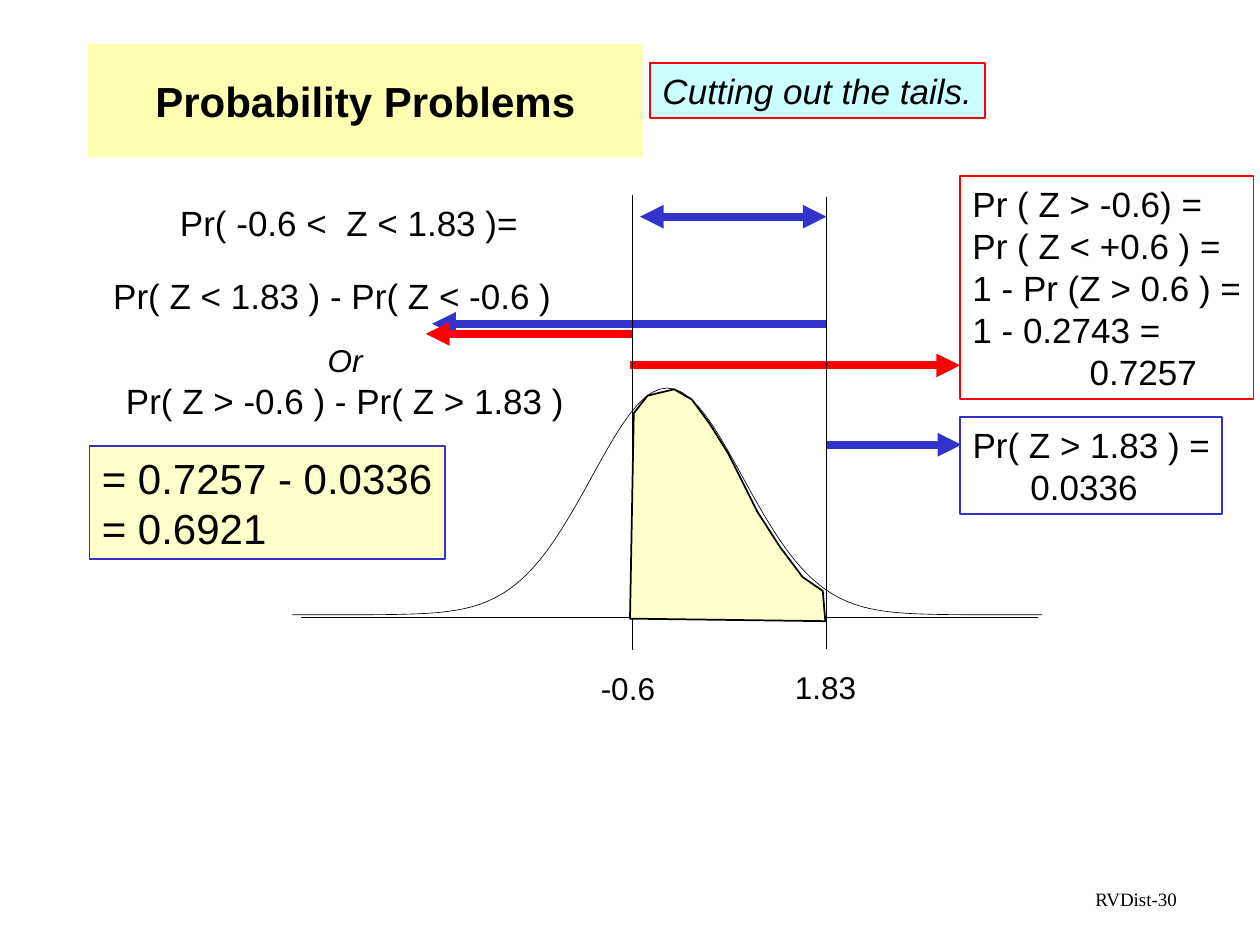
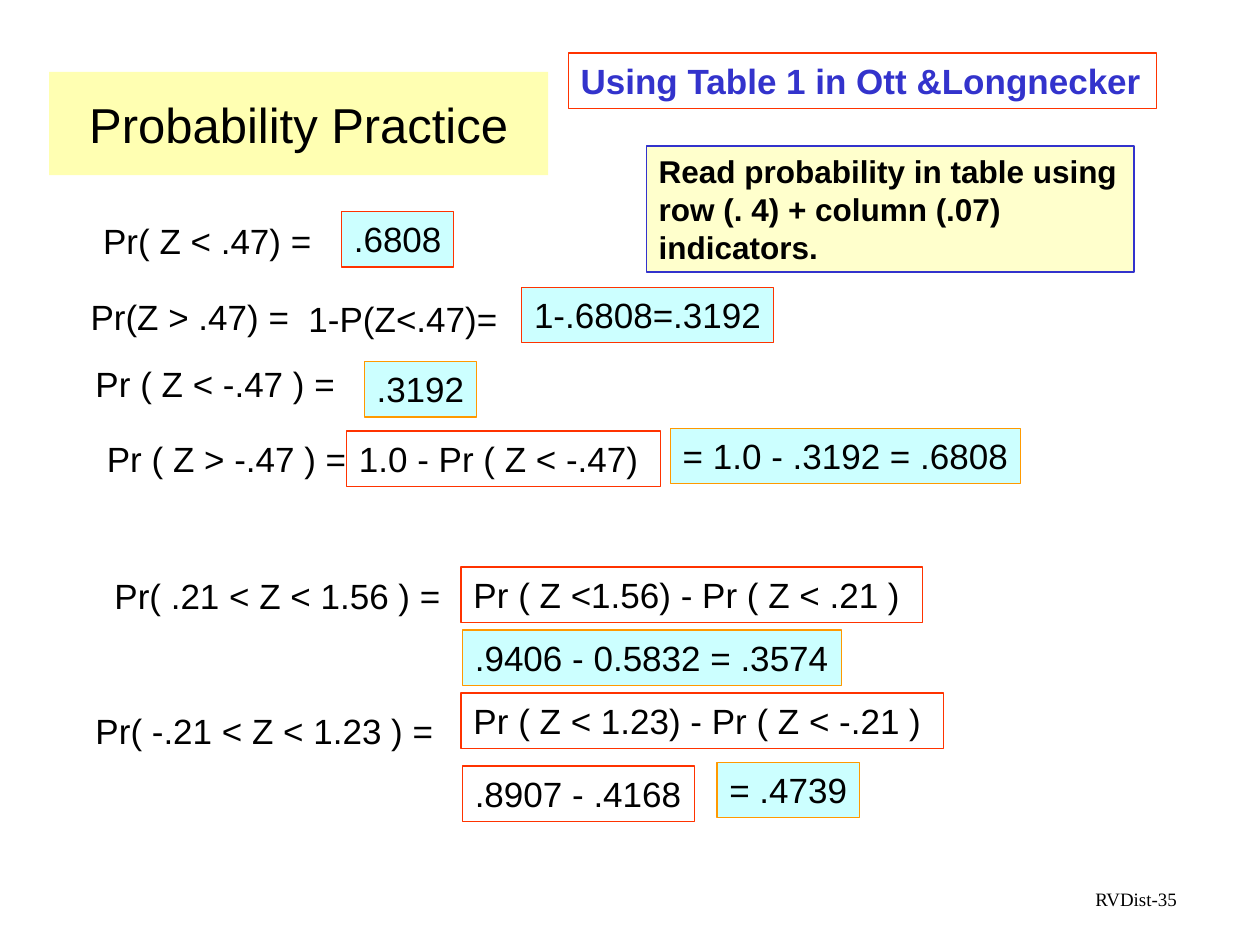
from math import exp

from lxml.etree import SubElement
from pptx import Presentation
from pptx.dml.color import RGBColor
from pptx.enum.shapes import MSO_CONNECTOR, MSO_SHAPE
from pptx.enum.text import MSO_ANCHOR, MSO_AUTO_SIZE, PP_ALIGN
from pptx.oxml.ns import qn
from pptx.util import Inches, Pt

BLACK, BLUE, RED = "000000", "3333CC", "FF0000"
VERMILION, ORANGE = "FF3300", "FF9900"
CYAN, CREAM, YELLOW = "CCFFFF", "FFFFCC", "FFFF66"


def rgb(value):
    """Turn a hex string into a colour."""
    return RGBColor.from_string(value)


def inches(*lengths):
    """Convert several lengths in inches."""
    return [Inches(length) for length in lengths]


class Deck:
    """Hold the shared style and the current slide."""

    font = "Arial"

    def __init__(self):
        """Start an empty presentation."""
        self.presentation = Presentation()
        self.presentation.slide_width, self.presentation.slide_height = inches(10, 7.5)
        self.slide = None

    def new_slide(self, title, place, size, number, bold=False):
        """Add a slide with its title band and page label."""
        layout = self.presentation.slide_layouts[5]
        self.slide = self.presentation.slides.add_slide(layout)
        band = self.slide.shapes.title
        band.left, band.top, band.width, band.height = inches(*place)
        band.fill.solid()
        band.fill.fore_color.rgb = rgb(YELLOW)
        color = band._element.spPr.find(qn("a:solidFill"))[0]
        SubElement(color, qn("a:alpha")).set("val", "50000")
        self.set_text(band, [title], size, bold=bold, align=PP_ALIGN.CENTER)
        band.text_frame.vertical_anchor = MSO_ANCHOR.MIDDLE
        label = self.text(f"RVDist-{number}", 7.17, 7.03, 2.17, 0.3, size=10.8,
                          font="Times New Roman", align=PP_ALIGN.RIGHT)
        label.text_frame.paragraphs[0].line_spacing = 0.8

    def set_text(self, shape, lines, size, color=BLACK, bold=False, italic=False,
                 align=PP_ALIGN.LEFT, font=None):
        """Fill a shape with formatted paragraphs."""
        frame = shape.text_frame
        frame.text = "\n".join(lines)
        frame.word_wrap = True
        frame.auto_size = MSO_AUTO_SIZE.NONE
        for paragraph in frame.paragraphs:
            paragraph.alignment = align
            for run in paragraph.runs:
                run.font.name = font or self.font
                run.font.size = Pt(size)
                run.font.bold = bold
                run.font.italic = italic
                run.font.color.rgb = rgb(color)

    def text(self, content, left, top, width, height=0.44, size=20, **style):
        """Add plain text."""
        shape = self.slide.shapes.add_textbox(*inches(left, top, width, height))
        shape.text_frame.margin_right = 0
        self.set_text(shape, content.split("\n"), size, **style)
        return shape

    def box(self, content, left, top, width, height=0.44, fill=None,
            line=VERMILION, weight=0.75, size=20, **style):
        """Add a bordered text box."""
        shape = self.slide.shapes.add_shape(
            MSO_SHAPE.RECTANGLE, *inches(left, top, width, height))
        self.paint(shape, fill, line, weight)
        shape.text_frame.margin_right = 0
        shape.text_frame.vertical_anchor = MSO_ANCHOR.TOP
        self.set_text(shape, content.split("\n"), size, **style)
        return shape

    def paint(self, shape, fill, line, weight):
        """Set fill and outline and drop the shadow."""
        shape.shadow.inherit = False
        if fill:
            shape.fill.solid()
            shape.fill.fore_color.rgb = rgb(fill)
        else:
            shape.fill.background()
        shape.line.color.rgb = rgb(line)
        shape.line.width = Pt(weight)

    def line(self, start, end, color=BLACK, weight=1, arrows=()):
        """Add a straight line with optional arrowheads."""
        connector = self.slide.shapes.add_connector(
            MSO_CONNECTOR.STRAIGHT, *inches(*start, *end))
        connector.line.color.rgb = rgb(color)
        connector.line.width = Pt(weight)
        outline = connector._element.spPr.find(qn("a:ln"))
        for arrow in arrows:
            SubElement(outline, qn(f"a:{arrow}")).set("type", "triangle")
        SubElement(connector._element.spPr, qn("a:effectLst"))

    def arrow(self, start, end, top, color, arrows=("tailEnd",)):
        """Add a thick horizontal arrow."""
        self.line((start, top), (end, top), color, 4.5, arrows)

    def outline(self, points, fill=None, weight=1.0, close=False):
        """Draw a freeform through the points."""
        points = [inches(*point) for point in points]
        builder = self.slide.shapes.build_freeform(*points[0])
        builder.add_line_segments(points[1:], close=close)
        self.paint(builder.convert_to_shape(), fill, BLACK, weight)

    def indent_last(self, shape, indent):
        """Indent the last paragraph of a shape."""
        properties = shape.text_frame.paragraphs[-1]._p.get_or_add_pPr()
        properties.set("marL", str(Inches(indent)))


def bell_curve(left=2.32, width=5.95, base=4.88, height=1.8, sigma=0.6, steps=100):
    """Return the points of a normal density curve."""
    middle = left + width / 2
    xs = [left + width * step / steps for step in range(steps + 1)]
    return [(x, base - height * exp(-((x - middle) / sigma) ** 2 / 2)) for x in xs]


def add_problems(deck):
    """Build the slide on cutting out the tails."""
    lower, upper = 5.02, 6.56
    deck.new_slide("Probability Problems", (0.7, 0.35, 4.4, 0.9), 24, 30, bold=True)
    deck.outline(bell_curve(), weight=0.37)
    deck.line((2.39, 4.9), (8.24, 4.9))
    deck.text("Pr( -0.6 <  Z < 1.83 )=", 1.33, 1.55, 2.88)
    deck.box("Cutting out the tails.", 5.16, 0.5, 2.66, fill=CYAN, line=RED,
             weight=1, italic=True)
    deck.text("Pr( Z < 1.83 ) - Pr( Z < -0.6 )", 0.8, 2.13, 3.68)
    deck.arrow(upper, 3.43, 2.57, BLUE)
    deck.arrow(lower, 3.38, 2.65, RED)
    choice = deck.text("Or\nPr( Z > -0.6 ) - Pr( Z > 1.83 )", 0.85, 2.66, 3.68, 0.74,
                       align=PP_ALIGN.CENTER)
    word = choice.text_frame.paragraphs[0].runs[0]
    word.font.size, word.font.italic = Pt(18), True
    deck.arrow(5, 7.62, 2.9, RED)
    deck.arrow(upper, 7.63, 3.53, BLUE)

    lower_tail = deck.box(
        "Pr ( Z > -0.6) =\nPr ( Z < +0.6 ) =\n1 - Pr (Z > 0.6 ) =\n1 - 0.2743 =\n0.7257",
        7.62, 1.4, 2.33, 1.77, line=RED, weight=1)
    deck.indent_last(lower_tail, 0.93)
    upper_tail = deck.box("Pr( Z > 1.83 ) =\n0.0336", 7.62, 3.31, 2.08, 0.77,
                          line=BLUE, weight=1)
    deck.indent_last(upper_tail, 0.46)
    deck.box("= 0.7257 - 0.0336\n= 0.6921", 0.71, 3.54, 2.82, 0.9, fill=CREAM,
             line=BLUE, weight=1, size=24)

    deck.line((upper, 1.56), (upper, 5.15))
    deck.text("1.83", 6.21, 5.25, 0.68, 0.4, size=18)
    deck.line((lower, 1.55), (lower, 5.16))
    deck.text("-0.6", 4.67, 5.26, 0.63, 0.4, size=18)
    deck.arrow(5.08, upper, 1.72, BLUE, ("headEnd", "tailEnd"))
    shaded_area = [(5.03, 3.28), (5, 4.91), (6.55, 4.93), (6.53, 4.69), (6.37, 4.58),
                   (6.19, 4.34), (6.01, 4.06), (5.78, 3.6), (5.63, 3.36), (5.49, 3.17),
                   (5.35, 3.09), (5.14, 3.14)]
    deck.outline(shaded_area, fill=CREAM, close=True)


def add_practice(deck):
    """Build the slide of table look-up exercises."""
    deck.new_slide("Probability Practice", (0.39, 0.57, 3.96, 0.82), 28, 35)
    questions = [
        ("Pr( Z < .47) =", 0.72, 1.69, 1.85),
        ("Pr(Z > .47) =", 0.62, 2.3, 1.78),
        ("1-P(Z<.47)=", 2.35, 2.31, 1.7),
        ("Pr ( Z < -.47 ) =", 0.66, 2.83, 2.1),
        ("Pr ( Z > -.47 ) =", 0.75, 3.42, 2.1),
        ("Pr( .21 < Z < 1.56 ) =", 0.81, 4.51, 2.87),
        ("Pr( -.21 < Z < 1.23 ) =", 0.66, 5.58, 2.96),
    ]
    for question in questions:
        deck.text(*question)

    answers = [
        (".6808", 2.71, 1.68, 0.89, CYAN, VERMILION),
        ("1-.6808=.3192", 4.14, 2.28, 2, CYAN, VERMILION),
        (".3192", 2.89, 2.87, 0.89, CYAN, ORANGE),
        ("1.0 - Pr ( Z < -.47)", 2.75, 3.42, 2.49, None, VERMILION),
        ("= 1.0 - .3192 = .6808", 5.32, 3.4, 2.78, CYAN, ORANGE),
        ("Pr ( Z <1.56) - Pr ( Z < .21 )", 3.66, 4.5, 3.66, None, VERMILION),
        (".9406 - 0.5832 = .3574", 3.67, 5, 3.01, CYAN, ORANGE),
        ("Pr ( Z < 1.23) - Pr ( Z < -.21 )", 3.66, 5.5, 3.83, None, VERMILION),
        (".8907 - .4168", 3.67, 6.08, 1.84, None, VERMILION),
        ("= .4739", 5.69, 6.05, 1.13, CYAN, ORANGE),
    ]
    for content, left, top, width, fill, line in answers:
        deck.box(content, left, top, width, fill=fill, line=line)

    deck.box("Using Table 1 in Ott &Longnecker", 4.51, 0.42, 4.67, color=BLUE, bold=True)
    deck.box("Read probability in table using row (. 4) + column (.07) indicators.",
             5.13, 1.16, 3.87, 1, fill=CREAM, line=BLUE, size=18, bold=True)


def main():
    """Build and save the presentation."""
    deck = Deck()
    add_problems(deck)
    add_practice(deck)
    deck.presentation.save("out.pptx")


if __name__ == "__main__":
    main()
